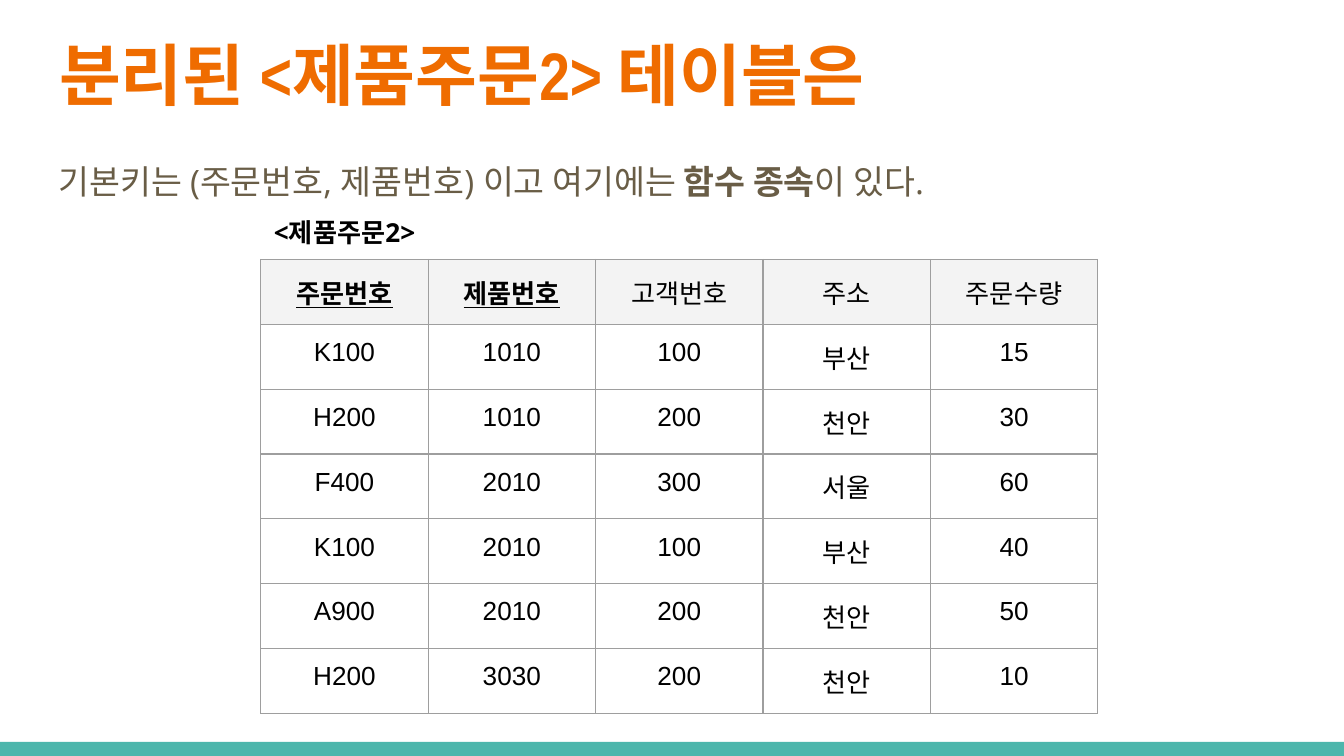
from pptx import Presentation
from pptx.util import Inches, Pt
from pptx.dml.color import RGBColor
from pptx.enum.shapes import MSO_SHAPE as SHAPE
from pptx.enum.text import PP_ALIGN as ALIGN, MSO_ANCHOR as ANCHOR
from pptx.oxml import parse_xml
from pptx.oxml.ns import nsdecls


def color(code):
    return RGBColor.from_string(code)


def add_run(para, text, size, font, code, bold=False, under=False):
    run = para.add_run()
    run.text = text
    run.font.size = Pt(size)
    run.font.name = font
    run.font.color.rgb = color(code)
    run.font.bold = bold
    run.font.underline = under


# A 16:9 slide
deck = Presentation()
deck.slide_width, deck.slide_height = Inches(10), Inches(10 * 9 / 16)
slide = deck.slides.add_slide(deck.slide_layouts[5])

# Bottom band
band = slide.shapes.add_shape(SHAPE.RECTANGLE, 0, Inches(5.52), Inches(10), Inches(0.11))
band.shadow.inherit = False
band.fill.solid()
band.fill.fore_color.rgb = color("4DB6AC")
band.line.fill.background()

# Title, body line and table caption
title = slide.shapes.title
title.left, title.top = Inches(0.34), Inches(0.15)
title.width, title.height = Inches(9.32), Inches(0.77)
body = slide.shapes.add_textbox(Inches(0.34), Inches(1.05), Inches(9.32), Inches(0.68))
label = slide.shapes.add_textbox(Inches(1.94), Inches(1.51), Inches(1.59), Inches(0.3))
for box in (title, body, label):
    frame = box.text_frame
    frame.word_wrap = True
    frame.vertical_anchor = ANCHOR.TOP
    frame.margin_left = frame.margin_right = Inches(0.1)
    frame.margin_top = frame.margin_bottom = Inches(0.1)
    frame.paragraphs[0].alignment = ALIGN.LEFT

add_run(title.text_frame.paragraphs[0], "분리된 <제품주문2> 테이블은",
        36, "Arial Narrow", "EF6C00", True)
add_run(label.text_frame.paragraphs[0], "<제품주문2>", 14, "Open Sans", "000000", True)
para = body.text_frame.paragraphs[0]
para.line_spacing = 1.15
para.space_after = Pt(16)
for text, bold in (("기본키는 (주문번호, 제품번호) 이고 여기에는 ", False),
                   ("함수 종속", True), ("이 있다.", False)):
    add_run(para, text, 18, "Open Sans", "695D46", bold)

# Order table
rows = [
    ("주문번호", "제품번호", "고객번호", "주소", "주문수량"),
    ("K100", "1010", "100", "부산", "15"),
    ("H200", "1010", "200", "천안", "30"),
    ("F400", "2010", "300", "서울", "60"),
    ("K100", "2010", "100", "부산", "40"),
    ("A900", "2010", "200", "천안", "50"),
    ("H200", "3030", "200", "천안", "10"),
]
wide, high = 6.23, 3.38
table = slide.shapes.add_table(len(rows), 5, Inches(1.94), Inches(1.93),
                               Inches(wide), Inches(high)).table
for col in table.columns:
    col.width = Inches(wide / 5)
for r, row in enumerate(rows):
    table.rows[r].height = Inches(high / len(rows))
    for c, text in enumerate(row):
        cell = table.cell(r, c)
        cell.margin_left = cell.margin_right = Inches(0.1)
        cell.margin_top = cell.margin_bottom = Inches(0.1)
        para = cell.text_frame.paragraphs[0]
        para.alignment = ALIGN.CENTER
        key = r == 0 and c < 2
        add_run(para, text, 14, "Arial", "000000", key, key)
        if r == 0:
            cell.fill.solid()
            cell.fill.fore_color.rgb = color("F3F3F3")
        else:
            cell.fill.background()
        # Cell borders come before the fill
        props = cell._tc.get_or_add_tcPr()
        for i, side in enumerate("LRTB"):
            props.insert(i, parse_xml(
                f'<a:ln{side} {nsdecls("a")} w="9525"><a:solidFill>'
                f'<a:srgbClr val="9E9E9E"/></a:solidFill></a:ln{side}>'))

deck.save("out.pptx")
